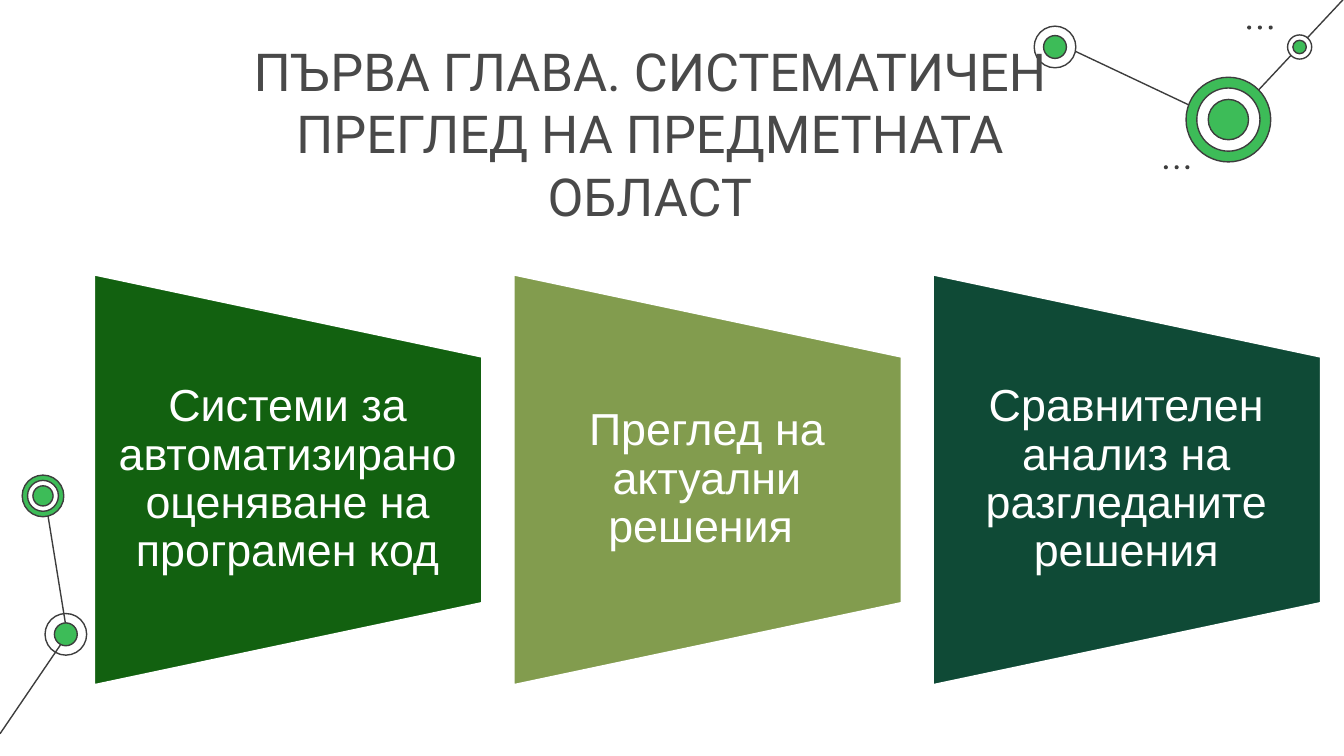
from dataclasses import dataclass
from typing import Optional

from lxml.etree import SubElement
from pptx import Presentation
from pptx.dml.color import RGBColor
from pptx.enum.shapes import MSO_CONNECTOR, MSO_SHAPE
from pptx.enum.text import MSO_ANCHOR, PP_ALIGN
from pptx.oxml.ns import qn
from pptx.slide import Slide
from pptx.util import Inches, Pt


@dataclass(frozen=True)
class Theme:
    ink: str = "3D3D3D"
    green: str = "3DBC58"
    white: str = "FFFFFF"
    title_color: str = "494949"
    title_font: str = "Roboto"
    body_font: str = "Arial"
    title_size: float = 28
    body_size: float = 24
    thin_line: float = 0.75
    card_line: float = 2


@dataclass(frozen=True)
class Link:
    start: tuple[float, float]
    end: tuple[float, float]


@dataclass(frozen=True)
class Node:
    x: float
    y: float
    rings: tuple[tuple[float, Optional[str]], ...]


@dataclass(frozen=True)
class Dots:
    x: float
    y: float


@dataclass(frozen=True)
class Card:
    text: str
    color: str


@dataclass(frozen=True)
class TextBox:
    left: float
    top: float
    width: float
    height: float
    text: str
    font: dict
    frame: dict
    line_spacing: float = 1.0


THEME = Theme()

LINKS = [
    Link((0.5, 4.72), (0.33, 3.67)),
    Link((0, 5.46), (0.49, 4.74)),
    Link((9.14, 0.92), (7.87, 0.32)),
    Link((10, -0.01), (9.14, 0.91)),
]

NODES = [
    Node(0.49, 4.72, ((0.31, None), (0.17, THEME.green))),
    Node(0.32, 3.69, ((0.31, THEME.green), (0.23, THEME.white), (0.15, THEME.green))),
    Node(9.14, 0.89, ((0.63, THEME.green), (0.47, THEME.white), (0.3, THEME.green))),
    Node(7.85, 0.35, ((0.31, THEME.white), (0.17, THEME.green))),
    Node(9.67, 0.35, ((0.18, THEME.white), (0.1, THEME.green))),
]

DOTS = [Dots(9.28, 0.19), Dots(8.66, 1.23)]
DOT_SIZE = 0.03
DOT_PITCH = 0.08

CARDS = [
    Card("Системи за автоматизирано оценяване на програмен код", "126110"),
    Card("Преглед на актуални решения ", "829C4E"),
    Card("Сравнителен анализ на разгледаните решения", "0F4A36"),
]
CARD_LEFT = 0.61
CARD_TOP = 2.12
CARD_PITCH = 3.12
CARD_SIZE = (3.07, 2.9)
CARD_TEXT_INSET = 0.08


def draw_link(slide: Slide, link: Link) -> None:
    connector = slide.shapes.add_connector(
        MSO_CONNECTOR.STRAIGHT, *(Inches(value) for value in link.start + link.end)
    )
    connector.line.color.rgb = RGBColor.from_string(THEME.ink)
    connector.line.width = Pt(THEME.thin_line)
    properties = connector._element.find(qn("p:spPr"))
    SubElement(properties, qn("a:effectLst"))


def draw_shape(
    slide: Slide,
    kind: MSO_SHAPE,
    box: tuple[float, float, float, float],
    fill: Optional[str],
    line: Optional[str] = None,
    line_width: float = THEME.thin_line,
    rotation: float = 0,
) -> None:
    shape = slide.shapes.add_shape(kind, *(Inches(value) for value in box))
    shape.shadow.inherit = False
    shape.rotation = rotation
    if fill:
        shape.fill.solid()
        shape.fill.fore_color.rgb = RGBColor.from_string(fill)
    else:
        shape.fill.background()
    if line:
        shape.line.color.rgb = RGBColor.from_string(line)
        shape.line.width = Pt(line_width)
    else:
        shape.line.fill.background()


def draw_node(slide: Slide, node: Node) -> None:
    for size, fill in node.rings:
        box = (node.x - size / 2, node.y - size / 2, size, size)
        draw_shape(slide, MSO_SHAPE.OVAL, box, fill, THEME.ink)


def draw_dots(slide: Slide, dots: Dots) -> None:
    for index in range(3):
        box = (dots.x + index * DOT_PITCH, dots.y, DOT_SIZE, DOT_SIZE)
        draw_shape(slide, MSO_SHAPE.OVAL, box, THEME.ink)


def draw_text(slide: Slide, box: TextBox) -> None:
    shape = slide.shapes.add_textbox(
        Inches(box.left), Inches(box.top), Inches(box.width), Inches(box.height)
    )
    text_frame = shape.text_frame
    for name, value in ({"word_wrap": True} | box.frame).items():
        setattr(text_frame, name, value)
    paragraph = text_frame.paragraphs[0]
    paragraph.text = box.text
    paragraph.alignment = PP_ALIGN.CENTER
    paragraph.line_spacing = box.line_spacing
    for run in paragraph.runs:
        for name, value in box.font.items():
            if name == "color":
                run.font.color.rgb = RGBColor.from_string(value)
            else:
                setattr(run.font, name, value)


def draw_card(slide: Slide, card: Card, left: float) -> None:
    width, height = CARD_SIZE
    draw_shape(
        slide, MSO_SHAPE.FLOWCHART_MANUAL_OPERATION, (left, CARD_TOP, width, height),
        card.color, THEME.white, THEME.card_line, 270,
    )
    draw_text(slide, TextBox(
        left + CARD_TEXT_INSET, 2.65, height, 1.84, card.text,
        {"name": THEME.body_font, "size": Pt(THEME.body_size), "color": THEME.white},
        {"vertical_anchor": MSO_ANCHOR.MIDDLE,
         "margin_left": Inches(0.17), "margin_right": Inches(0.17),
         "margin_top": 0, "margin_bottom": 0},
        0.9,
    ))


def main() -> None:
    presentation = Presentation()
    presentation.slide_width = Inches(10)
    presentation.slide_height = Inches(10 * 9 / 16)
    slide = presentation.slides.add_slide(presentation.slide_layouts[6])

    for link in LINKS:
        draw_link(slide, link)
    for node in NODES:
        draw_node(slide, node)
    for dots in DOTS:
        draw_dots(slide, dots)

    margins = ("margin_left", "margin_top", "margin_right", "margin_bottom")
    draw_text(slide, TextBox(
        1.2, 0.19, 7.27, 0.63,
        "ПЪРВА ГЛАВА. СИСТЕМАТИЧЕН ПРЕГЛЕД НА ПРЕДМЕТНАТА\vОБЛАСТ",
        {"name": THEME.title_font, "size": Pt(THEME.title_size), "color": THEME.title_color},
        {"vertical_anchor": MSO_ANCHOR.TOP} | dict.fromkeys(margins, Inches(0.1)),
    ))
    for index, card in enumerate(CARDS):
        draw_card(slide, card, CARD_LEFT + index * CARD_PITCH)

    presentation.save("out.pptx")


if __name__ == "__main__":
    main()
